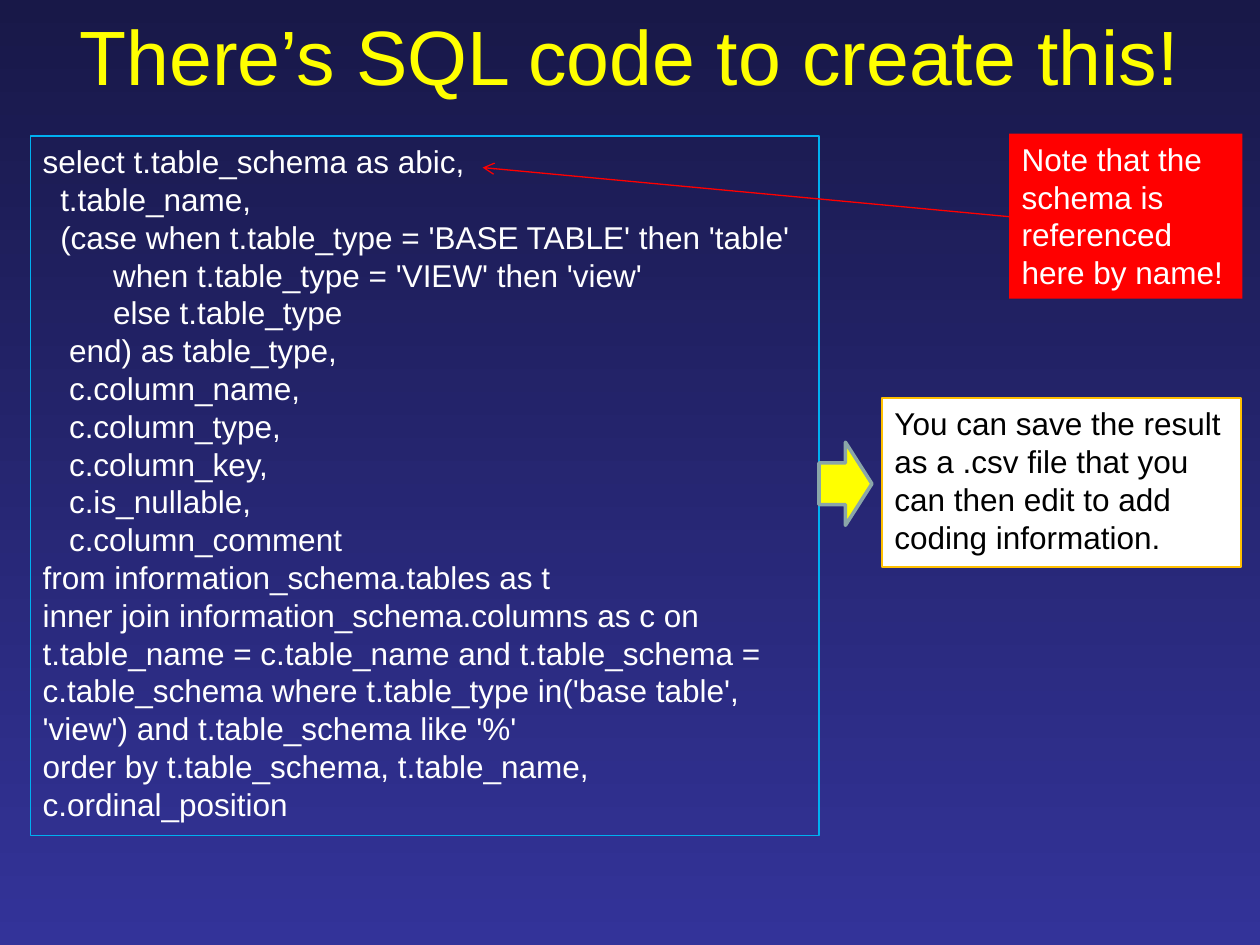
from lxml.etree import SubElement
from pptx import Presentation
from pptx.dml.color import RGBColor
from pptx.enum.shapes import MSO_CONNECTOR, MSO_SHAPE
from pptx.enum.text import MSO_ANCHOR, PP_ALIGN
from pptx.oxml.ns import qn
from pptx.util import Inches, Pt

FONT = "Arial"
SPACE_WIDTH = 0.07
QUERY = [
    (0, "select t.table_schema as abic,"),
    (2, "t.table_name,"),
    (2, "(case when t.table_type = 'BASE TABLE' then 'table'"),
    (8, "when t.table_type = 'VIEW' then 'view'"),
    (8, "else t.table_type"),
    (3, "end) as table_type,"),
    (3, "c.column_name,"),
    (3, "c.column_type,"),
    (3, "c.column_key,"),
    (3, "c.is_nullable,"),
    (3, "c.column_comment"),
    (0, "from information_schema.tables as t"),
    (0, "inner join information_schema.columns as c on t.table_name = "
        "c.table_name and t.table_schema = c.table_schema where t.table_type "
        "in('base table', 'view') and t.table_schema like '%'"),
    (0, "order by t.table_schema, t.table_name, c.ordinal_position"),
]


def color(value):
    return RGBColor.from_string(value)


def set_background(slide, top, bottom):
    fill = slide.background.fill
    fill.gradient()
    fill.gradient_angle = 270
    for stop, value, position in zip(fill.gradient_stops, (top, bottom), (0, 1)):
        stop.color.rgb = color(value)
        stop.position = position


def write_text(shape, lines, size=18, font_color="FFFFFF",
               align=PP_ALIGN.LEFT, anchor=MSO_ANCHOR.TOP):
    frame = shape.text_frame
    frame.word_wrap = True
    frame.vertical_anchor = anchor
    for index, (indent, text) in enumerate(lines):
        paragraph = frame.paragraphs[0] if index == 0 else frame.add_paragraph()
        paragraph.alignment = align
        if indent:
            properties = paragraph._p.get_or_add_pPr()
            properties.set("marL", str(Inches(indent * SPACE_WIDTH)))
            properties.set("indent", "0")
        run = paragraph.add_run()
        run.text = text
        run.font.name = FONT
        run.font.size = Pt(size)
        run.font.color.rgb = color(font_color)


def add_title(slide, text):
    title = slide.shapes.add_textbox(Inches(0.5), 0, Inches(9), Inches(0.87))
    write_text(title, [(0, text)], size=44, font_color="FFFF00",
               align=PP_ALIGN.CENTER, anchor=MSO_ANCHOR.MIDDLE)


def add_box(slide, left, top, width, height, kind=MSO_SHAPE.RECTANGLE,
            fill=None, line=None, line_width=0.75):
    shape = slide.shapes.add_shape(
        kind, Inches(left), Inches(top), Inches(width), Inches(height))
    shape.shadow.inherit = False
    if fill:
        shape.fill.solid()
        shape.fill.fore_color.rgb = color(fill)
    else:
        shape.fill.background()
    if line:
        shape.line.color.rgb = color(line)
        shape.line.width = Pt(line_width)
    else:
        shape.line.fill.background()
    return shape


def add_arrow(slide, start, end, line):
    arrow = slide.shapes.add_connector(
        MSO_CONNECTOR.STRAIGHT, *(Inches(value) for value in start + end))
    arrow.line.color.rgb = color(line)
    arrow.line.width = Pt(0.75)
    SubElement(arrow.line._get_or_add_ln(), qn("a:tailEnd"), type="arrow")
    SubElement(arrow._element.spPr, qn("a:effectLst"))


def main():
    presentation = Presentation()
    presentation.slide_width = Inches(10)
    presentation.slide_height = Inches(7.5)
    slide = presentation.slides.add_slide(presentation.slide_layouts[6])
    set_background(slide, "181848", "333399")
    add_title(slide, "There’s SQL code to create this!")

    query_box = add_box(slide, 0.24, 1.08, 6.26, 5.55, line="00B0F0")
    write_text(query_box, QUERY)

    add_box(slide, 6.5, 3.51, 0.42, 0.66, kind=MSO_SHAPE.RIGHT_ARROW,
            fill="FFFF00", line="8AA6A8", line_width=2)

    result_box = add_box(slide, 7, 3.16, 2.85, 1.34, fill="FFFFFF", line="FFC000")
    write_text(result_box, [
        (0, "You can save the result"),
        (0, "as a .csv file that you can then edit to add coding information."),
    ], font_color="000000")

    schema_note = add_box(slide, 8.01, 1.06, 1.85, 1.31, fill="FF0000")
    write_text(schema_note, [
        (0, "Note that the schema is"),
        (0, "referenced here by name!"),
    ])
    add_arrow(slide, (8.01, 1.72), (3.83, 1.33), "FF0000")

    presentation.save("out.pptx")


main()
